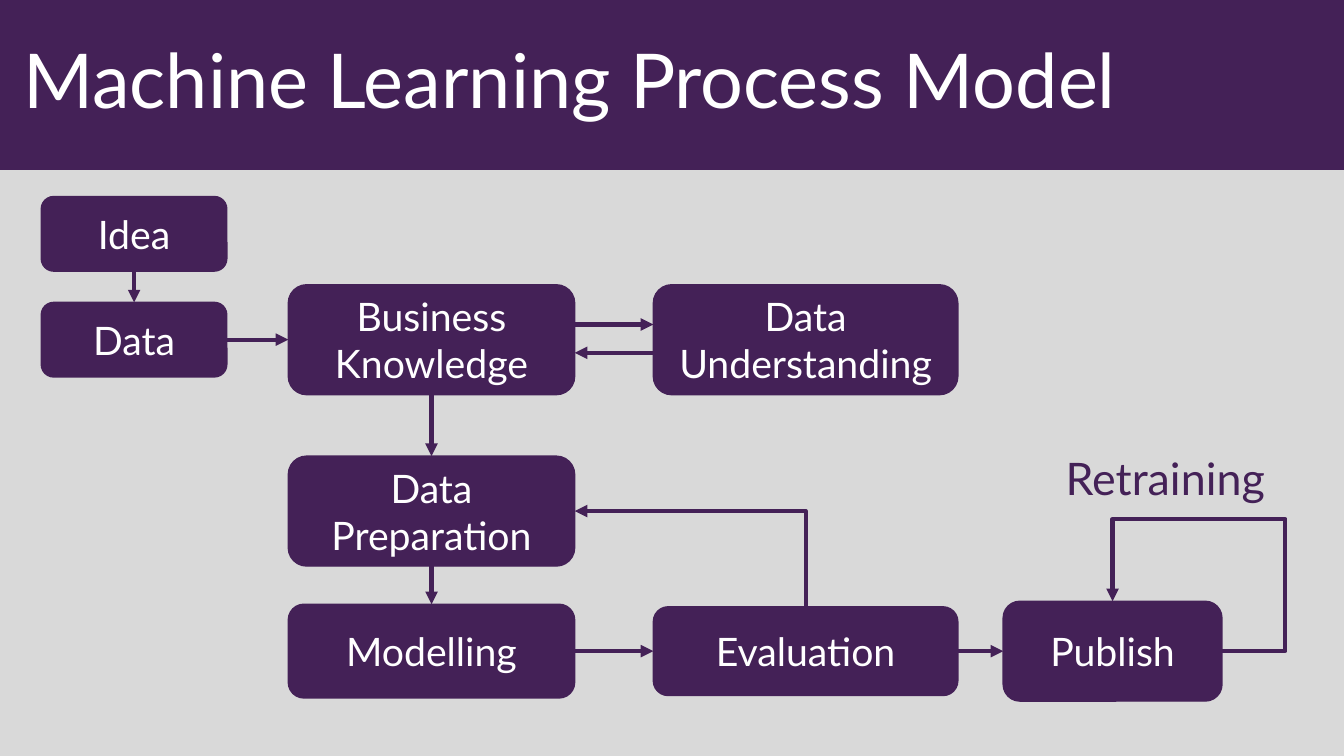
import lxml.etree
import pptx
import pptx.dml.color
import pptx.enum.shapes
import pptx.enum.text
import pptx.oxml.ns
import pptx.util

PURPLE, GREY, WHITE = "442157", "D9D9D9", "FFFFFF"
FONT = "Lato"
TOP, LEFT, BOTTOM, RIGHT = range(4)
COLUMNS = {"source": (0.41, 1.84), "core": (2.86, 2.84), "review": (6.48, 3.02), "release": (9.95, 2.17)}
ROW_CENTRES = {"idea": 2.32, "business": 3.37, "preparation": 5.07, "modelling": 6.46}
STEPS = [
    ("Idea", "source", "idea", 0.74),
    ("Data", "source", "business", 0.74),
    ("Business Knowledge", "core", "business", 1.09),
    ("Data Preparation", "core", "preparation", 1.09),
    ("Modelling", "core", "modelling", 0.93),
    ("Evaluation", "review", "modelling", 0.88),
    ("Data Understanding", "review", "business", 1.09),
    ("Publish", "release", "modelling", 0.99),
]
FLOWS = [
    ("Idea", BOTTOM, "Data", TOP),
    ("Data", RIGHT, "Business Knowledge", LEFT),
    ("Business Knowledge", BOTTOM, "Data Preparation", TOP),
    ("Data Preparation", BOTTOM, "Modelling", TOP),
    ("Modelling", RIGHT, "Evaluation", LEFT),
    ("Evaluation", RIGHT, "Publish", LEFT),
]
STRAIGHT = pptx.enum.shapes.MSO_CONNECTOR.STRAIGHT
ELBOW = pptx.enum.shapes.MSO_CONNECTOR.ELBOW


def inches(*lengths):
    """Convert lengths in inches to slide units."""
    return [pptx.util.Inches(length) for length in lengths]


def paint(colour_format, colour):
    """Apply a hex colour."""
    colour_format.rgb = pptx.dml.color.RGBColor.from_string(colour)


def write(shape, text, size, colour, align, wrap=True):
    """Set and format the text of a shape."""
    frame = shape.text_frame
    frame.text = text
    frame.word_wrap = wrap
    frame.vertical_anchor = pptx.enum.text.MSO_ANCHOR.MIDDLE
    paragraph = frame.paragraphs[0]
    paragraph.alignment = align
    font = paragraph.runs[0].font
    font.name, font.size = FONT, pptx.util.Pt(size)
    paint(font.color, colour)


def add_block(slide, preset, left, top, width, height):
    """Add a purple shape without a shadow."""
    block = slide.shapes.add_shape(preset, *inches(left, top, width, height))
    block.shadow.inherit = False
    block.fill.solid()
    paint(block.fill.fore_color, PURPLE)
    paint(block.line.color, PURPLE)
    block.line.width = pptx.util.Pt(1)
    return block


def add_header(slide, text, slide_width):
    """Place the title on a full-width band."""
    title = slide.shapes.title
    band = add_block(slide, pptx.enum.shapes.MSO_SHAPE.RECTANGLE, 0, 0, slide_width, 1.68)
    title._element.addprevious(band._element)
    title.left, title.top, title.width, title.height = inches(0.13, 0.11, 11.5, 1.45)
    write(title, text, 54, WHITE, pptx.enum.text.PP_ALIGN.LEFT)
    title.text_frame.auto_size = pptx.enum.text.MSO_AUTO_SIZE.NONE
    title.text_frame.paragraphs[0].line_spacing = 0.9


def add_step(slide, text, column, row, height):
    """Add a process step centred on its row."""
    left, width = COLUMNS[column]
    top = ROW_CENTRES[row] - height / 2
    step = add_block(slide, pptx.enum.shapes.MSO_SHAPE.ROUNDED_RECTANGLE, left, top, width, height)
    write(step, text, 28, WHITE, pptx.enum.text.PP_ALIGN.CENTER)
    return step


def add_arrow(slide, kind, ends=(0, 0, 0, 0)):
    """Add a purple connector with an arrowhead at its end."""
    arrow = slide.shapes.add_connector(kind, *inches(*ends))
    arrow.line.width = pptx.util.Pt(3)
    paint(arrow.line.color, PURPLE)
    qn = pptx.oxml.ns.qn
    lxml.etree.SubElement(arrow.line._get_or_add_ln(), qn("a:tailEnd"), type="triangle")
    lxml.etree.SubElement(arrow._element.spPr, qn("a:effectLst"))
    return arrow


def join(slide, kind, start, start_side, end, end_side):
    """Join two steps with an arrow."""
    arrow = add_arrow(slide, kind)
    arrow.begin_connect(start, start_side)
    arrow.end_connect(end, end_side)
    return arrow


def bend(arrow, preset, **adjustments):
    """Give an elbow arrow its preset and adjustments."""
    qn = pptx.oxml.ns.qn
    geometry = arrow._element.spPr.find(qn("a:prstGeom"))
    geometry.set("prst", preset)
    guides = geometry.find(qn("a:avLst"))
    for name, value in adjustments.items():
        lxml.etree.SubElement(guides, qn("a:gd"), name=name, fmla=f"val {value}")


def turn_upright(arrow):
    """Turn an elbow arrow so that it leaves its start vertically."""
    centre_x, centre_y = arrow.left + arrow.width // 2, arrow.top + arrow.height // 2
    arrow.width, arrow.height = arrow.height, arrow.width
    arrow.left, arrow.top = centre_x - arrow.width // 2, centre_y - arrow.height // 2
    transform = arrow._element.spPr.find(pptx.oxml.ns.qn("a:xfrm"))
    transform.set("rot", str(270 * 60000))
    transform.set("flipH", "0")
    transform.set("flipV", "1")


def main():
    """Build the process model slide."""
    deck = pptx.Presentation()
    deck.slide_width, deck.slide_height = inches(13.33, 7.5)
    slide = deck.slides.add_slide(deck.slide_layouts.get_by_name("Title Only"))
    slide.background.fill.solid()
    paint(slide.background.fill.fore_color, GREY)
    add_header(slide, "Machine Learning Process Model", 13.33)

    steps = {step[0]: add_step(slide, *step) for step in STEPS}
    for start, start_side, end, end_side in FLOWS:
        join(slide, STRAIGHT, steps[start], start_side, steps[end], end_side)
    core_right, review_left = sum(COLUMNS["core"]), COLUMNS["review"][0]
    add_arrow(slide, STRAIGHT, (core_right, 3.22, review_left, 3.22))
    add_arrow(slide, STRAIGHT, (review_left, 3.5, core_right, 3.5))

    retraining = join(slide, ELBOW, steps["Publish"], RIGHT, steps["Publish"], TOP)
    bend(retraining, "bentConnector4", adj1=-58000, adj2=264800)
    label = slide.shapes.add_textbox(*inches(10.47, 4.42, 2.22, 0.64))
    write(label, "Retraining", 32, PURPLE, pptx.enum.text.PP_ALIGN.LEFT, wrap=False)

    rework = join(slide, ELBOW, steps["Evaluation"], TOP, steps["Data Preparation"], RIGHT)
    bend(rework, "bentConnector2")
    turn_upright(rework)
    deck.save("out.pptx")


if __name__ == "__main__":
    main()
